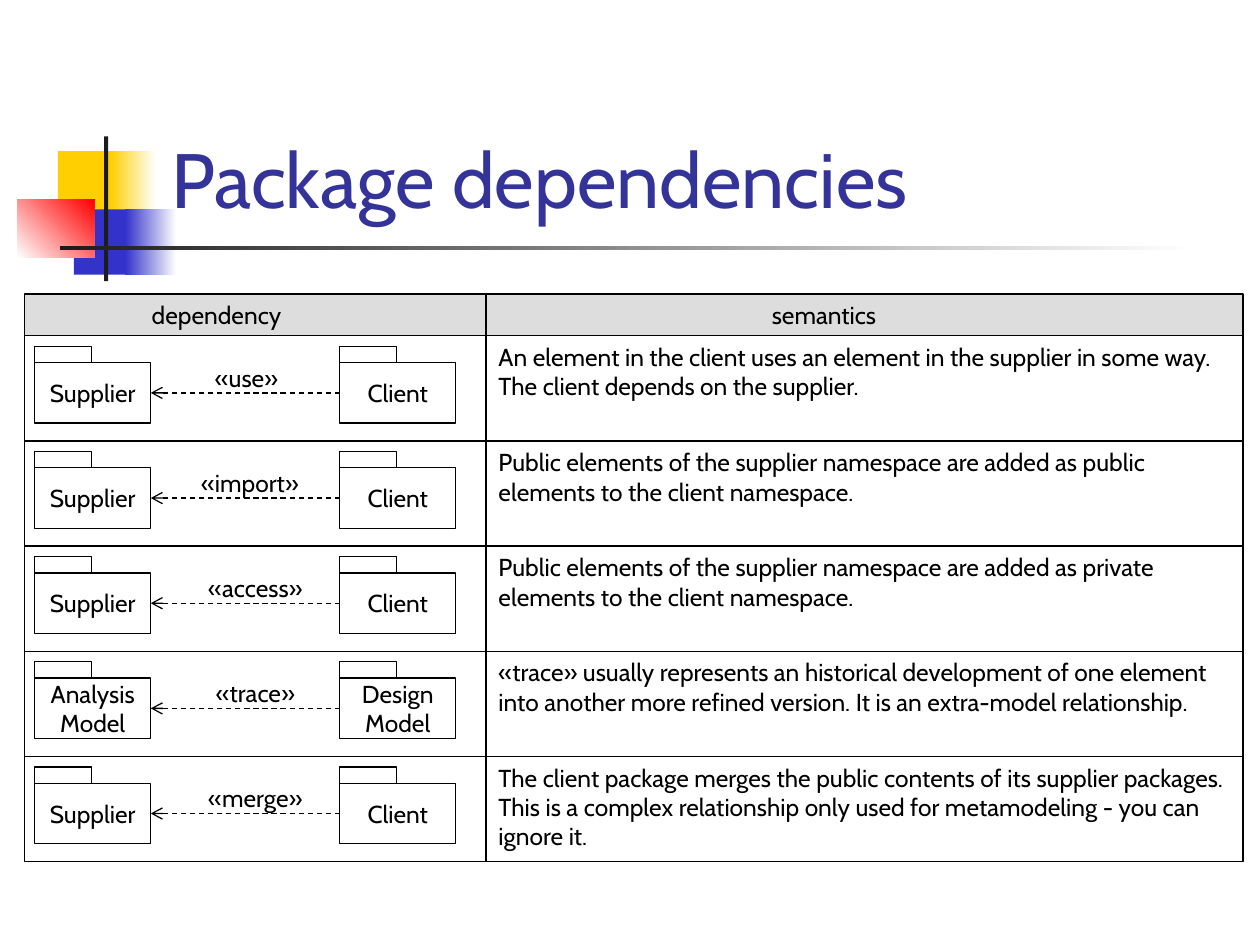
from lxml import etree
from pptx import Presentation, util as u
from pptx.dml.color import RGBColor
from pptx.enum import dml, shapes, text
from pptx.oxml.ns import qn

COLORS = {"ink": "000000", "title": "333399", "header": "DDDDDD", "white": "FFFFFF",
          "yellow": "FFCF01", "blue": "3333CC", "red": "FF0000", "bar": "1C1C1C"}
FONT = "Cabin"
LINE_WIDTH = u.Pt(0.75)
CENTER = text.PP_ALIGN.CENTER
DIVIDER = 9.3  # from the left edge of the table
HEADER_HEIGHT, ROW_HEIGHT = 0.84, 2.12

# stereotype, supplier, client, label left and width, semantics
DEPENDENCIES = [
    ("«use»", ["Supplier"], ["Client"], 3.38, 2.18,
     "An element in the client uses an element in the supplier in some way. "
     "The client depends on the supplier."),
    ("«import»", ["Supplier"], ["Client"], 3.17, 2.74,
     "Public elements of the supplier namespace are added as public "
     "elements to the client namespace."),
    ("«access»", ["Supplier"], ["Client"], 3.38, 2.54,
     "Public elements of the supplier namespace are added as private "
     "elements to the client namespace."),
    ("«trace»", ["Analysis", "Model"], ["Design", "Model"], 3.38, 2.54,
     "«trace» usually represents an historical development of one element "
     "into another more refined version. It is an extra-model relationship."),
    ("«merge»", ["Supplier"], ["Client"], 3.38, 2.54,
     "The client package merges the public contents of its supplier packages. "
     "This is a complex relationship only used for metamodeling - you can ignore it."),
]


def rgb(name):
    return RGBColor.from_string(COLORS[name])


def write(shape, lines, size=14, color="ink", align=None, **frame_format):
    frame = shape.text_frame
    for name, value in ({"word_wrap": True} | frame_format).items():
        setattr(frame, name, value)
    for index, line in enumerate(lines):
        para = frame.paragraphs[0] if index == 0 else frame.add_paragraph()
        para.alignment = align
        span = para.add_run()
        span.text = line
        for name, value in {"name": FONT, "size": u.Pt(size)}.items():
            setattr(span.font, name, value)
        span.font.color.rgb = rgb(color)


def add_text(page, left, top, width, height, words, **text_format):
    box = page.shapes.add_textbox(*map(u.Cm, (left, top, width, height)))
    write(box, [words], **text_format)


def add_rect(parent, left, top, width, height, fill=None, outlined=True):
    """Fill is None, one colour name, or (start, end, angle) for a gradient."""
    rect = parent.shapes.add_shape(shapes.MSO_SHAPE.RECTANGLE,
                                   *map(u.Cm, (left, top, width, height)))
    rect.shadow.inherit = False
    if fill is None:
        rect.fill.background()
    elif isinstance(fill, str):
        rect.fill.solid()
        rect.fill.fore_color.rgb = rgb(fill)
    else:
        *stops, angle = fill
        rect.fill.gradient()
        rect.fill.gradient_angle = angle
        for stop, color in zip(rect.fill.gradient_stops, stops):
            stop.color.rgb = rgb(color)
    if outlined:
        rect.line.color.rgb = rgb("ink")
        rect.line.width = LINE_WIDTH
    else:
        rect.line.fill.background()
    return rect


def add_line(page, x1, y1, x2, y2):
    line = page.shapes.add_connector(shapes.MSO_CONNECTOR.STRAIGHT,
                                     *map(u.Cm, (x1, y1, x2, y2)))
    line.line.color.rgb = rgb("ink")
    line.line.width = LINE_WIDTH
    etree.SubElement(line._element.spPr, qn("a:effectLst"))
    return line


def add_ornament(page, left, top):
    """Coloured squares and crossing bars beside the title."""
    for x, y, width, height, fill in [
        (0.82, 0.3, 1.22, 1.32, "yellow"),
        (1.88, 0.3, 0.91, 1.32, ("yellow", "white", 0)),
        (1.14, 1.47, 1.17, 1.32, "blue"),
        (2.18, 1.47, 1.02, 1.32, ("blue", "white", 0)),
        (0, 1.27, 1.55, 1.17, ("white", "red", 45)),
        (1.75, 0, 0.08, 2.92, "bar"),
        (0.86, 2.21, 22.86, 0.08, ("bar", "white", 0)),
    ]:
        add_rect(page, left + x, top + y, width, height, fill, outlined=False)


def add_package(page, left, top, lines):
    """UML package: a body with a small tab on top."""
    group = page.shapes.add_group_shape()
    body = add_rect(group, left, top + 0.33, 2.34, 1.22)
    write(body, lines, align=CENTER, word_wrap=False,
          vertical_anchor=text.MSO_ANCHOR.MIDDLE)
    add_rect(group, left, top, 1.14, 0.33)


def add_dependency_row(page, left, top, width, dependency):
    stereotype, supplier, client, label_left, label_width, semantics = dependency
    add_rect(page, left, top, width, ROW_HEIGHT)
    add_package(page, left + 0.2, top + 0.21, supplier)
    add_package(page, left + 6.35, top + 0.21, client)

    # Dashed arrow from client to supplier
    arrow = add_line(page, left + 6.35, top + 1.15, left + 2.54, top + 1.15)
    arrow.line.dash_style = dml.MSO_LINE.DASH
    etree.SubElement(arrow.line._get_or_add_ln(), qn("a:tailEnd"), type="arrow")

    add_text(page, left + label_left, top + 0.42, label_width, 0.86, stereotype,
             align=CENTER)
    add_text(page, left + DIVIDER, top, width - DIVIDER, 1.45, semantics)


def add_dependency_table(page, left, top, width):
    add_rect(page, left, top, width, HEADER_HEIGHT, "header")
    for x, heading in [(2.31, "dependency"), (14.81, "semantics")]:
        add_text(page, left + x, top, 3.61, 0.86, heading)
    for index, dependency in enumerate(DEPENDENCIES):
        row_top = top + HEADER_HEIGHT + index * ROW_HEIGHT
        add_dependency_row(page, left, row_top, width, dependency)
    bottom = top + HEADER_HEIGHT + len(DEPENDENCIES) * ROW_HEIGHT
    add_line(page, left + DIVIDER, top, left + DIVIDER, bottom)


def main():
    deck = Presentation()
    deck.slide_width, deck.slide_height = u.Cm(25.4), u.Cm(19.05)
    page = deck.slides.add_slide(deck.slide_layouts[6])
    add_ornament(page, 0.35, 2.75)
    add_text(page, 3.2, 0.58, 21.64, 4.06, "Package dependencies", size=44,
             color="title", vertical_anchor=text.MSO_ANCHOR.BOTTOM)
    add_dependency_table(page, 0.5, 5.93, 24.56)
    deck.save("out.pptx")


if __name__ == "__main__":
    main()
